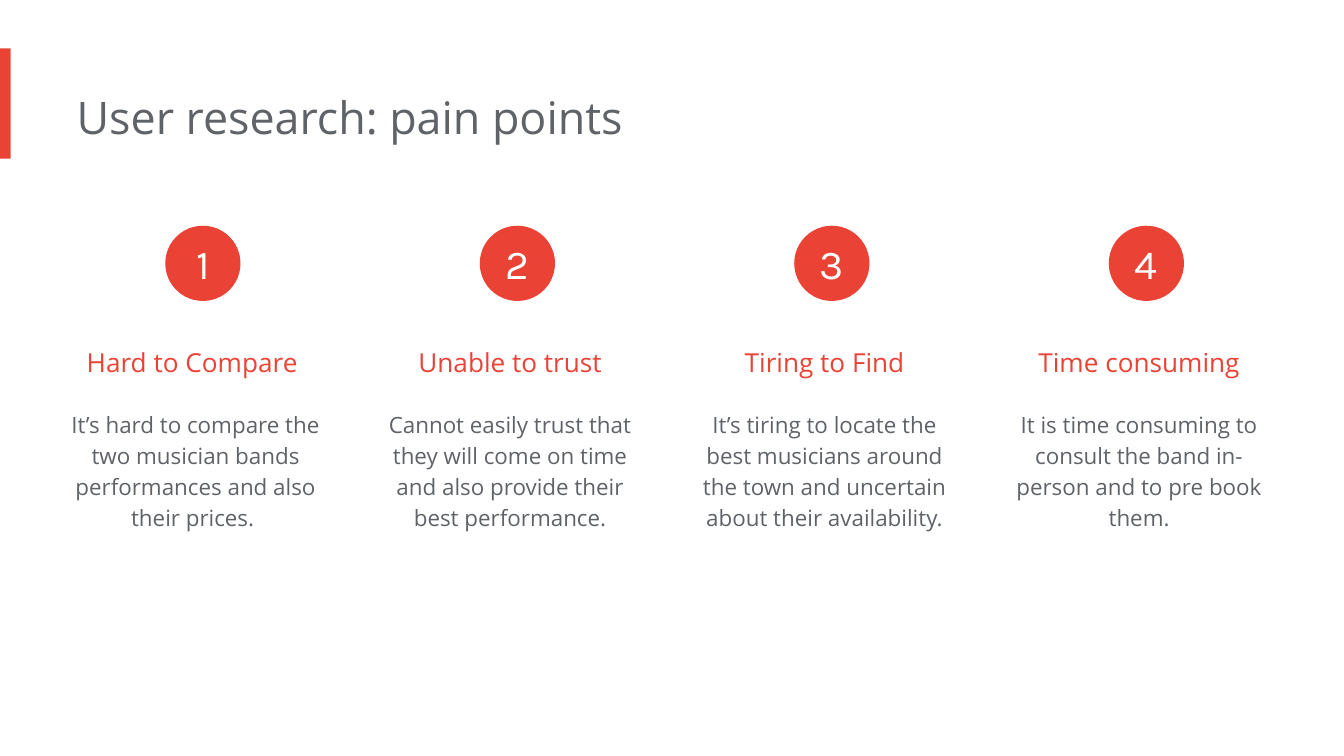
from pptx import Presentation
from pptx.dml.color import RGBColor
from pptx.enum.shapes import MSO_SHAPE
from pptx.enum.text import MSO_ANCHOR, MSO_AUTO_SIZE, PP_ALIGN
from pptx.util import Inches, Pt

RED = RGBColor(0xEA, 0x43, 0x35)
GRAY = RGBColor(0x5F, 0x63, 0x68)
WHITE = RGBColor(0xFF, 0xFF, 0xFF)
RECTANGLE, OVAL = MSO_SHAPE.RECTANGLE, MSO_SHAPE.OVAL
TOP, MIDDLE = MSO_ANCHOR.TOP, MSO_ANCHOR.MIDDLE
LEFT, CENTER = PP_ALIGN.LEFT, PP_ALIGN.CENTER
FIT_SHAPE = MSO_AUTO_SIZE.SHAPE_TO_FIT_TEXT

FIRST_COLUMN = 0.48
COLUMN_PITCH = 2.34
COLUMN_WIDTH = 2.05
BADGE_OFFSET = 0.75
BADGE_SIZE = 0.56

PAIN_POINTS = [
    ("Hard to Compare ",
     "It’s hard to compare the two musician bands performances and also their prices. "),
    ("Unable to trust",
     "Cannot easily trust that they will come on time and also provide their best performance."),
    ("Tiring to Find",
     "It’s tiring to locate the best musicians around the town and uncertain about their availability."),
    ("Time consuming",
     "It is time consuming to consult the band in-person and to pre book them."),
]


def write(shape, text, size, color, font="Open Sans", align=CENTER, spacing=1.0, anchor=TOP, inset=0.1):
    frame = shape.text_frame
    frame.text = text
    frame.word_wrap = True
    frame.vertical_anchor = anchor
    frame.margin_left = 0
    frame.margin_top = frame.margin_right = frame.margin_bottom = Inches(inset)
    paragraph = frame.paragraphs[0]
    paragraph.alignment = align
    paragraph.line_spacing = spacing
    run_font = paragraph.runs[0].font
    run_font.name = font
    run_font.size = Pt(size)
    run_font.color.rgb = color


def add_red_shape(kind, left, top, width, height):
    shape = slide.shapes.add_shape(kind, Inches(left), Inches(top), Inches(width), Inches(height))
    shape.shadow.inherit = False
    shape.fill.solid()
    shape.fill.fore_color.rgb = RED
    shape.line.fill.background()
    return shape


prs = Presentation()
prs.slide_width = Inches(10)
prs.slide_height = Inches(10 * 9 / 16)
slide = prs.slides.add_slide(prs.slide_layouts[5])

add_red_shape(RECTANGLE, 0, 0.36, 0.08, 0.82)

title = slide.shapes.title
title.left, title.top = Inches(0.57), Inches(0.57)
title.width, title.height = Inches(6.73), Inches(0.61)
write(title, "User research: pain points", 24, GRAY, align=LEFT)
title.text_frame.auto_size = FIT_SHAPE

for index, (heading, description) in enumerate(PAIN_POINTS):
    left = FIRST_COLUMN + index * COLUMN_PITCH
    for text, top, height, size, color, spacing in (
        (heading, 2.36, 0.44, 14, RED, 1.5),
        (description, 2.93, 1.1, 12, GRAY, 1.15),
    ):
        box = slide.shapes.add_textbox(Inches(left), Inches(top), Inches(COLUMN_WIDTH), Inches(height))
        write(box, text, size, color, spacing=spacing)
        box.text_frame.auto_size = FIT_SHAPE

    badge = add_red_shape(OVAL, left + BADGE_OFFSET, 1.68, BADGE_SIZE, BADGE_SIZE)
    write(badge, str(index + 1), 22, WHITE, font="Karla", anchor=MIDDLE, inset=0)

prs.save("out.pptx")
